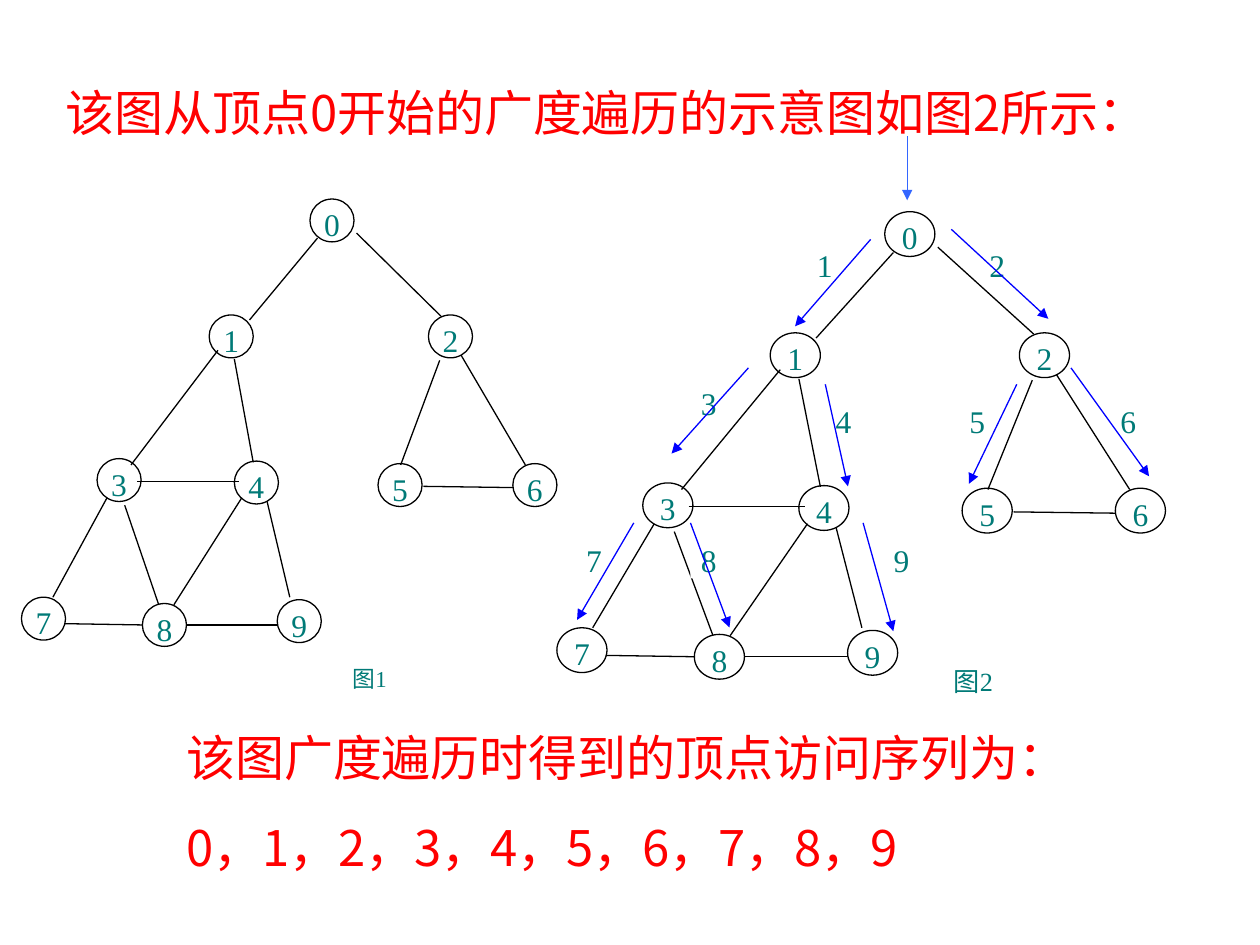
from dataclasses import dataclass

from lxml import etree
from pptx import Presentation, util as u
from pptx.dml.color import RGBColor
from pptx.enum import shapes, text
from pptx.oxml.ns import qn

RED, TEAL, BLACK, WHITE, BLUE, SKY = "FF0000", "007A77", "000000", "FFFFFF", "0000FF", "3366FF"
SANS, SERIF = "Noto Sans CJK SC", "Times New Roman"
COLS, ROWS = 425, 355
NODE_COLS, NODE_ROWS = 35, 34


@dataclass(frozen=True)
class Frame:
    left: float
    top: float
    width: float
    height: float
    cols: int
    rows: int

    def x(self, col: float) -> int:
        return u.Inches(self.left + self.width * col / self.cols)

    def y(self, row: float) -> int:
        return u.Inches(self.top + self.height * row / self.rows)

    def box(self, col: float, row: float, cols: float, rows: float) -> tuple:
        left, top = self.x(col), self.y(row)
        return left, top, self.x(col + cols) - left, self.y(row + rows) - top


@dataclass(frozen=True)
class Edge:
    start: tuple
    end: tuple


@dataclass(frozen=True)
class Visit:
    order: int
    label: tuple
    arrow: Edge


PAGE = Frame(0, 0, 10, 7.5, 1000, 750)
FIGURE_1 = Frame(0.17, 1.58, 4.25, 3.55, COLS, ROWS)
FIGURE_2 = Frame(4.42, 1.68, 4.83, 3.71, COLS, ROWS)

VERTICES = [(229, 0), (149, 92), (323, 92), (60, 206), (169, 208),
            (283, 210), (390, 210), (0, 316), (96, 321), (203, 318)]

EDGES = [
    Edge((235, 31), (181, 96)), Edge((156, 120), (87, 211)),
    Edge((68, 237), (25, 316)), Edge((175, 237), (121, 322)),
    Edge((332, 128), (301, 211)), Edge((266, 27), (333, 93)),
    Edge((349, 124), (400, 211)), Edge((195, 240), (213, 316)),
    Edge((131, 338), (203, 338)), Edge((34, 337), (96, 338)),
    Edge((169, 127), (184, 209)), Edge((82, 243), (109, 322)),
    Edge((92, 224), (173, 224)), Edge((319, 228), (390, 229)),
]

VISITS = [
    Visit(1, (640, 195), Edge((691, 190), (631, 259))),
    Visit(2, (777, 195), Edge((755, 182), (832, 253))),
    Visit(3, (548, 305), Edge((594, 292), (533, 360))),
    Visit(7, (457, 429), Edge((503, 415), (458, 492))),
    Visit(5, (761, 319), Edge((807, 305), (769, 384))),
    Visit(4, (655, 319), Edge((655, 305), (673, 386))),
    Visit(9, (701, 429), Edge((685, 415), (709, 501))),
    Visit(8, (548, 429), Edge((548, 415), (579, 498))),
    Visit(6, (881, 319), Edge((850, 292), (912, 378))),
]


def colour(code: str) -> RGBColor:
    return RGBColor.from_string(code)


def write(frame, *lines: str, size: float, font: str = SERIF, ink: str = TEAL,
          align=text.PP_ALIGN.CENTER, inset: tuple = (0, 0), wrap: bool = True,
          gap: float = 0, pitch: float = 0, hanging: float = 0) -> None:
    frame.word_wrap = wrap
    frame.auto_size = text.MSO_AUTO_SIZE.NONE
    frame.vertical_anchor = text.MSO_ANCHOR.TOP
    frame.margin_left = frame.margin_right = u.Inches(inset[0])
    frame.margin_top = frame.margin_bottom = u.Inches(inset[1])
    for index, line in enumerate(lines):
        paragraph = frame.paragraphs[0] if index == 0 else frame.add_paragraph()
        paragraph.alignment = align
        paragraph.space_before = u.Pt(gap if index else 0)
        if pitch:
            paragraph.line_spacing = u.Pt(pitch)
        if hanging:
            properties = paragraph._p.get_or_add_pPr()
            properties.set("marL", str(u.Inches(hanging)))
            properties.set("indent", str(-u.Inches(hanging)))
            etree.SubElement(properties, qn("a:buNone"))
        run = paragraph.add_run()
        run.text = line
        run.font.size = u.Pt(size)
        run.font.name = font
        run.font.color.rgb = colour(ink)
        if font == SANS:
            etree.SubElement(run._r.get_or_add_rPr(), qn("a:ea")).set("typeface", font)


def add_plate(slide, preset, box: tuple, outline: str = ""):
    plate = slide.shapes.add_shape(preset, *box)
    plate.shadow.inherit = False
    plate.fill.solid()
    plate.fill.fore_color.rgb = colour(WHITE)
    if outline:
        plate.line.color.rgb = colour(outline)
        plate.line.width = u.Pt(0.75)
    else:
        plate.line.fill.background()
    return plate.text_frame


def add_line(slide, frame: Frame, edge: Edge, ink: str = BLACK, arrow: bool = False) -> None:
    (col, row), (end_col, end_row) = edge.start, edge.end
    link = slide.shapes.add_connector(shapes.MSO_CONNECTOR.STRAIGHT, frame.x(col), frame.y(row),
                                      frame.x(end_col), frame.y(end_row))
    link.line.color.rgb = colour(ink)
    link.line.width = u.Pt(0.75)
    if arrow:
        etree.SubElement(link.line._get_or_add_ln(), qn("a:tailEnd")).set("type", "triangle")
    etree.SubElement(link._element.spPr, qn("a:effectLst"))


def add_graph(slide, frame: Frame) -> None:
    for number, (col, row) in enumerate(VERTICES):
        vertex = add_plate(slide, shapes.MSO_SHAPE.OVAL,
                           frame.box(col, row, NODE_COLS, NODE_ROWS), BLACK)
        write(vertex, str(number), size=18)
    for edge in EDGES:
        add_line(slide, frame, edge)


def add_caption(slide, words: str, box: tuple, size: float) -> None:
    caption = add_plate(slide, shapes.MSO_SHAPE.RECTANGLE, PAGE.box(*box))
    write(caption, words, size=size, align=text.PP_ALIGN.LEFT, inset=(0.1, 0.05), wrap=False)


def add_visit(slide, visit: Visit) -> None:
    label = add_plate(slide, shapes.MSO_SHAPE.RECTANGLE, PAGE.box(*visit.label, 29, 30))
    write(label, str(visit.order), size=18)
    add_line(slide, PAGE, visit.arrow, BLUE, arrow=True)


def main() -> None:
    deck = Presentation()
    deck.slide_width, deck.slide_height = PAGE.x(PAGE.cols), PAGE.y(PAGE.rows)
    slide = deck.slides.add_slide(deck.slide_layouts[1])
    title = slide.shapes.title._element
    title.getparent().remove(title)

    intro = slide.placeholders[1]
    intro.left, intro.top, intro.width, intro.height = PAGE.box(42, 60, 883, 507)
    write(intro.text_frame, "该图从顶点0开始的广度遍历的示意图如图2所示：", size=28, font=SANS, ink=RED,
          align=text.PP_ALIGN.LEFT, inset=(0.1, 0.05), pitch=34, hanging=0.38)

    result = slide.shapes.add_textbox(*PAGE.box(138, 572, 767, 128))
    write(result.text_frame, "该图广度遍历时得到的顶点访问序列为：", "，".join(map(str, range(10))),
          size=28, font=SANS, ink=RED, align=text.PP_ALIGN.JUSTIFY, inset=(0.1, 0.05),
          gap=17.5, pitch=34)

    add_graph(slide, FIGURE_1)
    add_caption(slide, "图1", (270, 523, 51, 36), 13)
    add_caption(slide, "图2", (747, 523, 58, 37), 15)
    add_graph(slide, FIGURE_2)
    for visit in VISITS:
        add_visit(slide, visit)
    add_line(slide, PAGE, Edge((720, 108), (720, 159)), SKY, arrow=True)
    deck.save("out.pptx")


if __name__ == "__main__":
    main()
